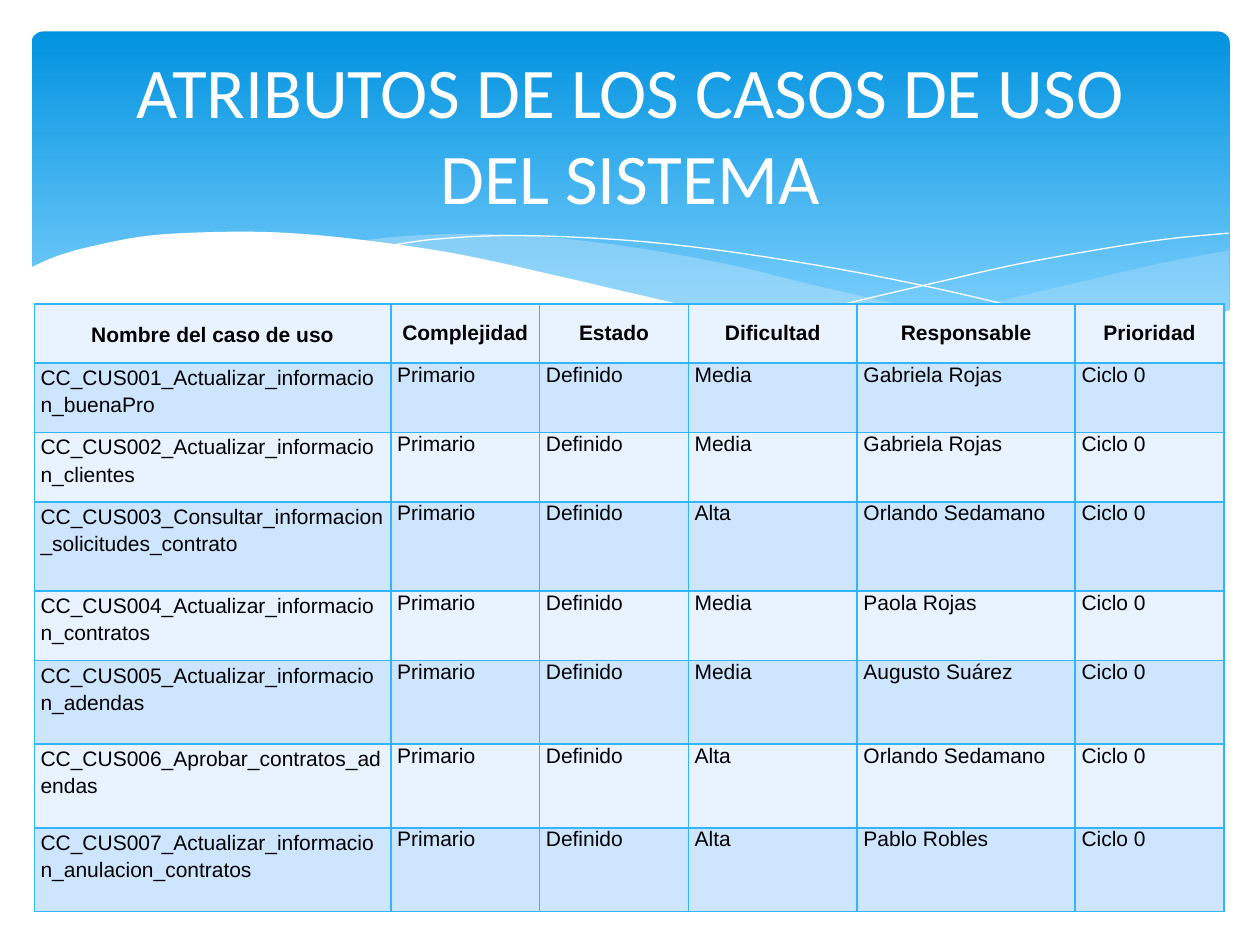
from dataclasses import dataclass
from typing import Optional

from lxml.etree import SubElement
from pptx import Presentation
from pptx.dml.color import RGBColor
from pptx.enum.shapes import MSO_SHAPE
from pptx.enum.text import MSO_ANCHOR, MSO_AUTO_SIZE, PP_ALIGN
from pptx.oxml import parse_xml
from pptx.oxml.ns import nsdecls, qn
from pptx.util import Pt

COLORS = {
    "banner_top": "0293E0",
    "banner_bottom": "83D3FE",
    "wave": "C6E7FC",
    "white": "FFFFFF",
    "text": "000000",
    "border": "31B6FD",
    "band_light": "E8F3FF",
    "band_dark": "CEE5FE",
}
CURVE_STEPS = 6

Point = tuple[float, float]


@dataclass
class Wave:
    """Smooth edges joined at corners; a wave without a fill is a white line."""
    edges: list[list[Point]]
    fill: Optional[str] = None
    opacity: int = 100


@dataclass
class UseCase:
    name: str
    difficulty: str
    owner: str
    height: float
    complexity: str = "Primario"
    status: str = "Definido"
    priority: str = "Ciclo 0"

    def values(self) -> list[str]:
        return [self.name, self.complexity, self.status,
                self.difficulty, self.owner, self.priority]


WAVES = [
    Wave([[(702.5, 143), (663, 150.5), (620, 160.5), (561, 174.2), (508, 185), (476, 190.8)],
          [(476, 190.8), (507.6, 195), (545, 198.7), (578, 200.2), (615, 198.7),
           (651.6, 193.7), (678, 186.5), (702.5, 177.8)]], "wave", 29),
    Wave([[(206, 137.5), (236, 134.6), (273.6, 133.7), (318, 136), (370, 142.6),
           (420.5, 152), (453, 160), (508, 172.8), (558, 183), (602.6, 190.8), (643, 196.6)],
          [(643, 196.6), (610.6, 199.5), (581, 200.2), (548, 199.4), (510.5, 195.8),
           (468, 190), (420.5, 181.5), (381.6, 172.8), (323, 159.8), (291, 152),
           (246, 143.3), (206, 137.5)]], "wave", 40),
    Wave([[(222.5, 140.4), (247.7, 136.8), (288.7, 134.6), (337.7, 136), (383.8, 139.7),
           (437.8, 146.9), (500.4, 157.7), (572.4, 173.5), (653, 195.8)]]),
    Wave([[(441.4, 185), (483.8, 173.5), (538.6, 160.6), (580.3, 151.2),
           (623.5, 143.3), (665.3, 136.8), (702, 133.2)]]),
    Wave([[(703.5, 177), (669.6, 188.6), (630, 196.6), (582.5, 199.4), (535.7, 197.3),
           (481, 190.8), (417, 180), (362, 167.8), (321.8, 158.4), (262.8, 145.4),
           (210.2, 137.5), (165.6, 133.2), (127.4, 132.5), (85.7, 134.6), (54, 140.4),
           (33, 146.2), (16.6, 153.4)],
          [(16.6, 237), (703.5, 237)]], "white"),
]

HEADERS = ["Nombre del caso de uso", "Complejidad", "Estado",
           "Dificultad", "Responsable", "Prioridad"]
COLUMN_WIDTHS = [203.8, 85, 85, 96.5, 124.6, 85]
HEADER_HEIGHT = 33.8
USE_CASES = [
    UseCase("CC_CUS001_Actualizar_informacion_buenaPro", "Media", "Gabriela Rojas", 39.7),
    UseCase("CC_CUS002_Actualizar_informacion_clientes", "Media", "Gabriela Rojas", 39.7),
    UseCase("CC_CUS003_Consultar_informacion_solicitudes_contrato", "Alta",
            "Orlando Sedamano", 51),
    UseCase("CC_CUS004_Actualizar_informacion_contratos", "Media", "Paola Rojas", 39.7),
    UseCase("CC_CUS005_Actualizar_informacion_adendas", "Media", "Augusto Suárez", 47.8),
    UseCase("CC_CUS006_Aprobar_contratos_adendas", "Alta", "Orlando Sedamano", 47.8),
    UseCase("CC_CUS007_Actualizar_informacion_anulacion_contratos", "Alta",
            "Pablo Robles", 47.8),
]


def rgb(key: str) -> RGBColor:
    return RGBColor.from_string(COLORS[key])


def smooth(knots: list[Point]) -> list[Point]:
    """Sample a Catmull-Rom curve through the knots."""
    if len(knots) < 3:
        return knots
    padded = [knots[0], *knots, knots[-1]]
    curve = [knots[0]]
    for a, b, c, d in zip(padded, padded[1:], padded[2:], padded[3:]):
        for step in range(1, CURVE_STEPS + 1):
            t = step / CURVE_STEPS
            curve.append(tuple(
                q + 0.5 * t * (r - p + t * (2 * p - 5 * q + 4 * r - s
                                            + t * (3 * (q - r) + s - p)))
                for p, q, r, s in zip(a, b, c, d)))
    return curve


def add_banner(slide) -> None:
    banner = slide.shapes.add_shape(MSO_SHAPE.ROUNDED_RECTANGLE,
                                    Pt(18), Pt(18), Pt(684.7), Pt(194.4))
    banner.adjustments[0] = 0.034
    banner.shadow.inherit = False
    banner.line.fill.background()
    banner.fill.gradient()
    banner.fill.gradient_angle = 270
    stops = banner.fill.gradient_stops
    for stop, key, position in zip(stops, ("banner_top", "banner_bottom"), (0, 0.9)):
        stop.color.rgb = rgb(key)
        stop.position = position


def add_wave(slide, wave: Wave) -> None:
    points = [(Pt(x), Pt(y)) for edge in wave.edges for x, y in smooth(edge)]
    builder = slide.shapes.build_freeform(*points[0])
    builder.add_line_segments(points[1:], close=wave.fill is not None)
    outline = builder.convert_to_shape()
    outline.shadow.inherit = False
    if wave.fill is None:
        outline.fill.background()
        outline.line.color.rgb = rgb("white")
        outline.line.width = Pt(0)
        return
    outline.line.fill.background()
    outline.fill.solid()
    outline.fill.fore_color.rgb = rgb(wave.fill)
    if wave.opacity < 100:
        color = outline._element.spPr.find(qn("a:solidFill"))[0]
        SubElement(color, qn("a:alpha")).set("val", str(wave.opacity * 1000))


def place_title(slide) -> None:
    title = slide.shapes.title
    title.left, title.top, title.width, title.height = Pt(36), Pt(26.6), Pt(648), Pt(98.6)
    frame = title.text_frame
    frame.text = "ATRIBUTOS DE LOS CASOS DE USO DEL SISTEMA"
    frame.word_wrap = True
    frame.auto_size = MSO_AUTO_SIZE.NONE
    frame.vertical_anchor = MSO_ANCHOR.MIDDLE
    heading = frame.paragraphs[0]
    heading.alignment = PP_ALIGN.CENTER
    heading.font.name, heading.font.size = "Calibri", Pt(40.7)
    heading.font.color.rgb = rgb("white")
    slide.shapes._spTree.append(title._element)  # in front of the banner


def add_borders(cell) -> None:
    properties = cell._tc.get_or_add_tcPr()
    for index, side in enumerate("LRTB"):
        properties.insert(index, parse_xml(
            f'<a:ln{side} {nsdecls("a")} w="{Pt(1)}"><a:solidFill>'
            f'<a:srgbClr val="{COLORS["border"]}"/></a:solidFill></a:ln{side}>'))


def fill_cell(cell, text: str, band: str, is_header: bool, is_name: bool) -> None:
    cell.text = text
    cell.margin_left = cell.margin_right = Pt(3.6)
    cell.margin_top = cell.margin_bottom = 0
    cell.vertical_anchor = MSO_ANCHOR.MIDDLE if is_header else MSO_ANCHOR.TOP
    cell.fill.solid()
    cell.fill.fore_color.rgb = rgb(band)
    add_borders(cell)
    paragraph = cell.text_frame.paragraphs[0]
    paragraph.alignment = PP_ALIGN.CENTER if is_header else PP_ALIGN.LEFT
    if is_name:
        paragraph.line_spacing = 1.15
        if is_header:
            paragraph.space_after = Pt(10)
    paragraph.font.name, paragraph.font.size = "Arial", Pt(12)
    paragraph.font.bold = is_header
    paragraph.font.color.rgb = rgb("text")


def add_use_case_table(slide) -> None:
    rows = [HEADERS, *(case.values() for case in USE_CASES)]
    heights = [HEADER_HEIGHT, *(case.height for case in USE_CASES)]
    table = slide.shapes.add_table(len(rows), len(HEADERS), Pt(19.6), Pt(173.6),
                                   Pt(sum(COLUMN_WIDTHS)), Pt(sum(heights))).table
    table.first_row = table.horz_banding = False
    for column, width in zip(table.columns, COLUMN_WIDTHS):
        column.width = Pt(width)
    for r, (values, height) in enumerate(zip(rows, heights)):
        table.rows[r].height = Pt(height)
        band = "band_dark" if r % 2 else "band_light"
        for c, value in enumerate(values):
            fill_cell(table.cell(r, c), value, band, is_header=r == 0, is_name=c == 0)


def main() -> None:
    presentation = Presentation()
    presentation.slide_width, presentation.slide_height = Pt(720), Pt(540)
    slide = presentation.slides.add_slide(presentation.slide_layouts[5])
    add_banner(slide)
    for wave in WAVES:
        add_wave(slide, wave)
    place_title(slide)
    add_use_case_table(slide)
    presentation.save("out.pptx")


if __name__ == "__main__":
    main()
